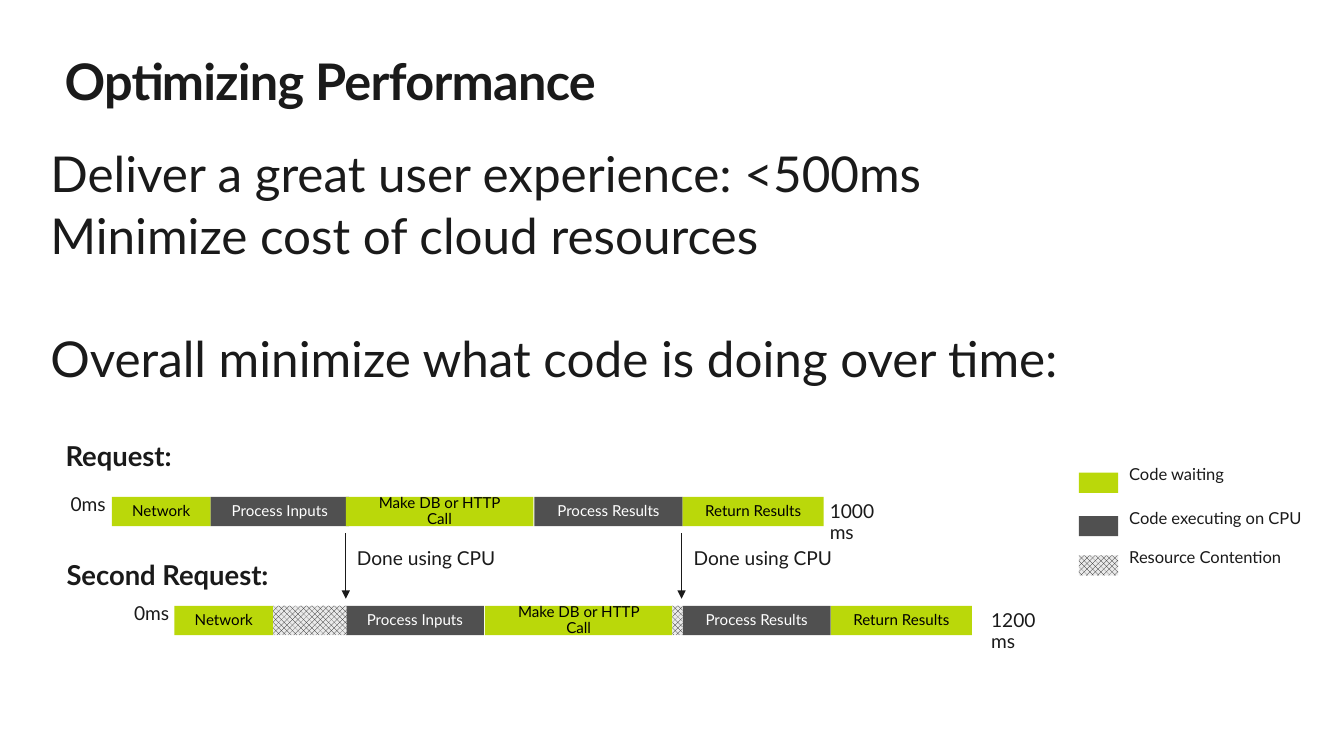
from lxml import etree
from pptx import Presentation
from pptx.dml.color import RGBColor
from pptx.enum.dml import MSO_PATTERN
from pptx.enum.shapes import MSO_CONNECTOR, MSO_SHAPE
from pptx.enum.text import MSO_ANCHOR, PP_ALIGN
from pptx.oxml.ns import qn
from pptx.util import Inches, Pt

RECTANGLE = MSO_SHAPE.RECTANGLE
STRAIGHT = MSO_CONNECTOR.STRAIGHT
DIAMONDS = MSO_PATTERN.from_xml("openDmnd")
TOP, MIDDLE = MSO_ANCHOR.TOP, MSO_ANCHOR.MIDDLE
LEFT, CENTER = PP_ALIGN.LEFT, PP_ALIGN.CENTER

FONT = "Lato"
COLORS = {
    "ink": "1A1A1A",
    "waiting": "BAD80A",
    "executing": "505050",
    "hatch": "141414",
    "hatch back": "EAEAEA",
    "on waiting": "000000",
    "on executing": "FFFFFF",
}
COLORS = {name: RGBColor.from_string(value) for name, value in COLORS.items()}

deck = Presentation()
deck.slide_width, deck.slide_height = Inches(13.33), Inches(7.5)
page = deck.slides.add_slide(deck.slide_layouts[5])


def write(box, lines, size, color="ink", bold=False, align=LEFT, anchor=TOP,
          after=5.9, wrap=False):
    """Fill a shape with one paragraph per line."""
    frame = box.text_frame
    frame.word_wrap = wrap
    frame.vertical_anchor = anchor
    frame.margin_left = frame.margin_right = Inches(0.2)
    frame.margin_top = frame.margin_bottom = Inches(0.16)
    for index, line in enumerate(lines):
        para = frame.add_paragraph() if index else frame.paragraphs[0]
        para.alignment = align
        para.line_spacing = 0.9
        para.space_after = Pt(after)
        span = para.add_run()
        span.text = line
        span.font.name, span.font.size, span.font.bold = FONT, Pt(size), bold
        span.font.color.rgb = COLORS[color]
    return frame


def add_block(left, top, width, height, kind):
    """Draw a block in the style of its kind of activity."""
    block = page.shapes.add_shape(
        RECTANGLE, Inches(left), Inches(top), Inches(width), Inches(height))
    block.shadow.inherit = False
    block.line.fill.background()
    if kind == "contention":
        block.fill.patterned()
        block.fill.pattern = DIAMONDS
        block.fill.fore_color.rgb = COLORS["hatch"]
        block.fill.back_color.rgb = COLORS["hatch back"]
    else:
        block.fill.solid()
        block.fill.fore_color.rgb = COLORS[kind]
    return block


# Title
title = page.shapes.title
title.left, title.top = Inches(0.64), Inches(0.5)
title.width, title.height = Inches(12.05), Inches(0.61)
title_frame = write(title, ["Optimizing Performance"], 36, bold=True, after=0, wrap=True)
title_frame.margin_left = title_frame.margin_right = 0
title_frame.margin_top = title_frame.margin_bottom = 0
title_para = title_frame.paragraphs[0]
title_para.line_spacing = 1.0
title_para.runs[0].font._element.set("spc", "-50")

# Goals, with a gap before the last one
goals_box = page.shapes.add_textbox(Inches(0.3), Inches(1.33), Inches(12.1), Inches(2.7))
goals = write(goals_box, [
    "Deliver a great user experience: <500ms",
    "Minimize cost of cloud resources",
    "Overall minimize what code is doing over time:",
], 35.3, wrap=True)
goals.paragraphs[-1].space_before = Pt(44)

# Request timelines: the same steps, starting at different places
BAR_HEIGHT = 0.29
STEPS = [
    ("Network", 0.98, "waiting"),
    ("Process Inputs", 1.37, "executing"),
    ("Make DB or HTTP Call", 1.86, "waiting"),
    ("Process Results", 1.47, "executing"),
    ("Return Results", 1.4, "waiting"),
]
TIMELINES = [
    (4.93, [1.11, 2.09, 3.43, 5.3, 6.77]),
    (6.01, [1.73, 3.43, 4.81, 6.77, 8.24]),
]
for top, starts in TIMELINES:
    for start, (step, width, kind) in zip(starts, STEPS):
        bar = add_block(start, top, width, BAR_HEIGHT, kind)
        write(bar, [step], 10.8, "on " + kind, align=CENTER, anchor=MIDDLE,
              after=0, wrap=True)

# Waits for the CPU in the second request
for left, width in [(2.71, 0.73), (6.67, 0.1)]:
    add_block(left, 6.01, width, BAR_HEIGHT, "contention")

# Legend
LEGEND = [
    ("Code waiting", 4.69, 1.37, "waiting"),
    ("Code executing on CPU", 5.12, 2.11, "executing"),
    ("Resource Contention", 5.51, 1.92, "contention"),
]
for name, top, width, kind in LEGEND:
    add_block(10.7, top, 0.39, 0.2, kind)
    box = page.shapes.add_textbox(
        Inches(11), Inches(top - 0.15), Inches(width), Inches(0.49))
    write(box, [name], 11.8)

# Headings, times and notes: text, left, top, width, height, size, bold, wrap
LABELS = [
    ("Request:", 0.45, 4.25, 1.51, 0.61, 19.6, True, False),
    ("Second Request:", 0.46, 5.43, 2.52, 0.61, 19.6, True, False),
    ("0ms", 0.5, 4.81, 0.75, 0.52, 13.7, False, False),
    ("0ms", 1.13, 5.89, 0.75, 0.52, 13.7, False, False),
    ("1000 ms", 8.03, 4.82, 1.11, 0.52, 13.7, False, True),
    ("1200 ms", 9.63, 5.9, 1.11, 0.52, 13.7, False, True),
    ("Done using CPU", 3.34, 5.34, 1.78, 0.52, 13.7, False, False),
    ("Done using CPU", 6.68, 5.34, 1.78, 0.52, 13.7, False, False),
]
for text, left, top, width, height, size, bold, wrap in LABELS:
    box = page.shapes.add_textbox(
        Inches(left), Inches(top), Inches(width), Inches(height))
    write(box, [text], size, bold=bold, wrap=wrap)

# Arrows where the first request frees the CPU
for x in (3.43, 6.76):
    arrow = page.shapes.add_connector(
        STRAIGHT, Inches(x), Inches(5.29), Inches(x), Inches(5.94))
    arrow.line.color.rgb = COLORS["ink"]
    arrow.line.width = Pt(0.75)
    outline = arrow.line._get_or_add_ln()
    etree.SubElement(outline, qn("a:tailEnd"), type="triangle")
    etree.SubElement(arrow._element.spPr, qn("a:effectLst"))

deck.save("out.pptx")
